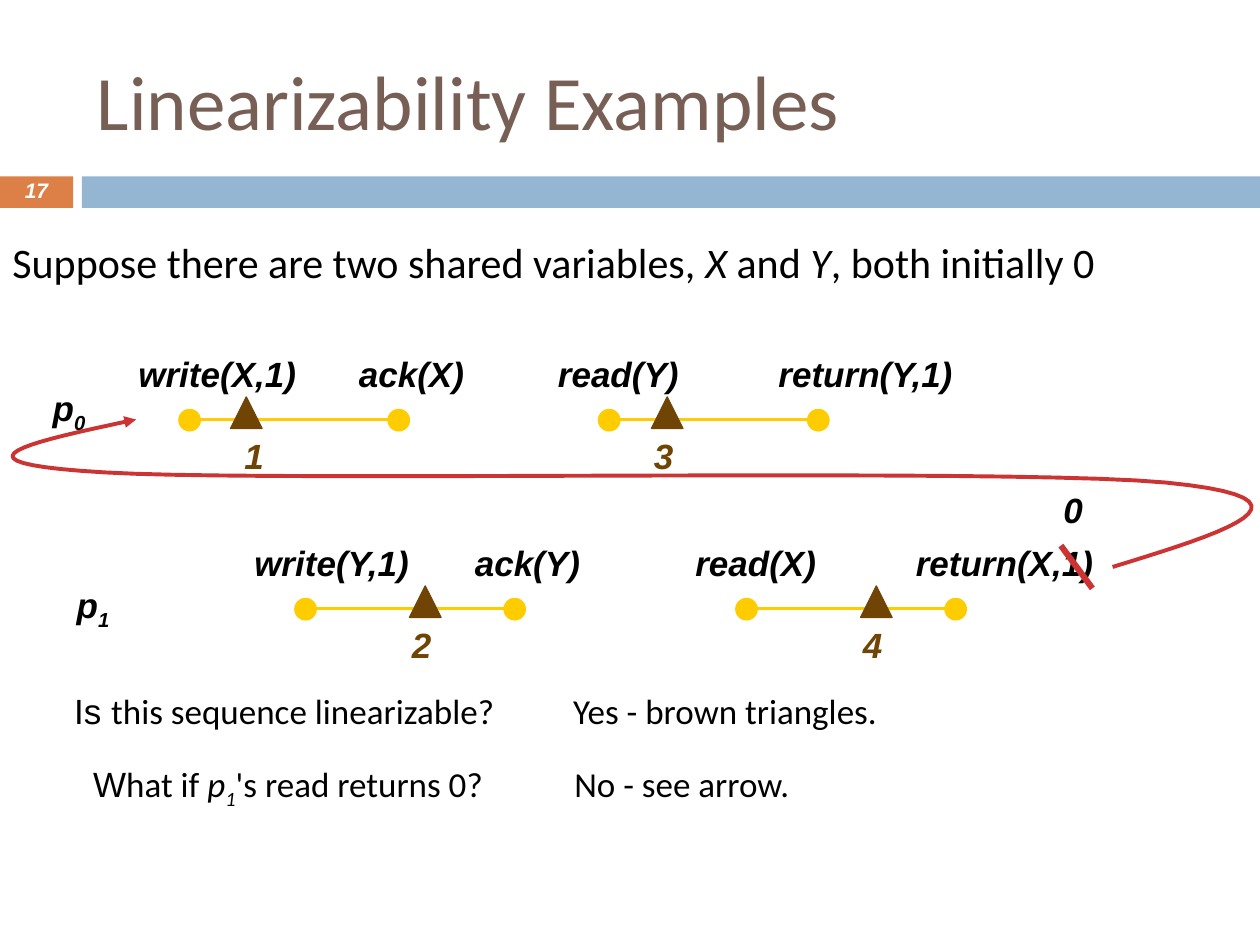
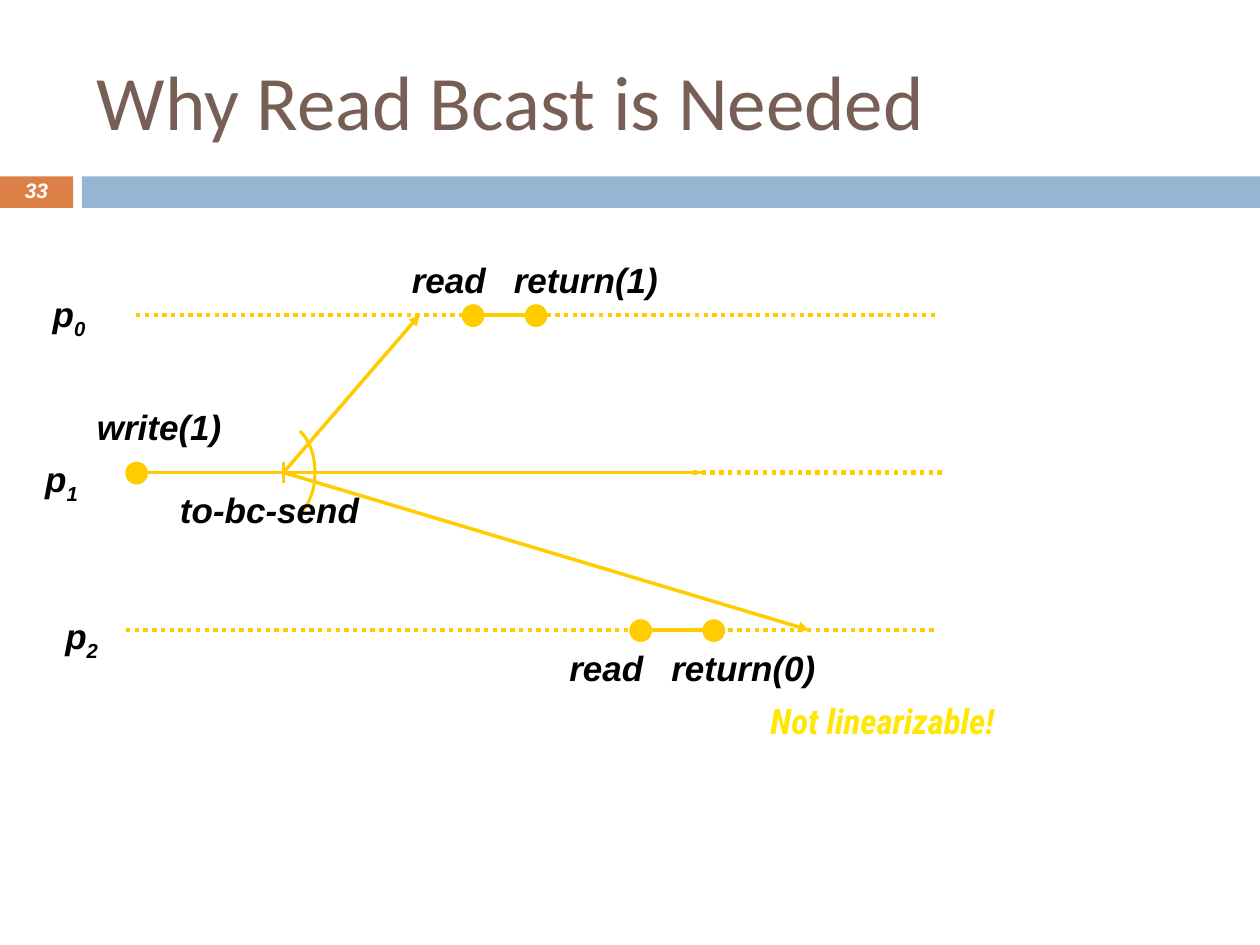
"""Build two slides on linearizability and read broadcasts."""
from lxml import etree
from pptx import Presentation
from pptx.dml.color import RGBColor
from pptx.enum.dml import MSO_LINE
from pptx.enum.shapes import MSO_CONNECTOR, MSO_SHAPE
from pptx.enum.text import MSO_ANCHOR, MSO_AUTO_SIZE, PP_ALIGN
from pptx.oxml.ns import qn
from pptx.util import Inches, Pt

RECT = MSO_SHAPE.RECTANGLE
OVAL = MSO_SHAPE.OVAL
WEDGE = MSO_SHAPE.ISOSCELES_TRIANGLE
STRAIGHT = MSO_CONNECTOR.STRAIGHT
DOTS = MSO_LINE.ROUND_DOT
LEFT, CENTER = PP_ALIGN.LEFT, PP_ALIGN.CENTER
TOP, MIDDLE = MSO_ANCHOR.TOP, MSO_ANCHOR.MIDDLE
GROW, FIXED = MSO_AUTO_SIZE.SHAPE_TO_FIT_TEXT, MSO_AUTO_SIZE.NONE

COLORS = {
    "title": "775F55", "tab": "DD8047", "band": "94B6D2", "gold": "FFCC00",
    "brown": "704404", "red": "CC3333", "black": "000000", "white": "FFFFFF",
    "yellow": "FFE701",
}
SANS, BODY, NARROW = "Arial", "Calibri", "Roboto Condensed"
DOT = 0.17


def color(name):
    return RGBColor.from_string(COLORS[name])


def add_run(para, text, size=20, font=SANS, ink="black", bold=False,
            italic=False, base=0):
    run = para.add_run()
    run.text = text
    run.font.size = Pt(size)
    run.font.name = font
    run.font.bold = bold
    run.font.italic = italic
    run.font.color.rgb = color(ink)
    if base:
        run._r.get_or_add_rPr().set("baseline", str(base * 1000))


class Deck:
    def __init__(self):
        self.prs = Presentation()
        self.prs.slide_width = Inches(10)
        self.prs.slide_height = Inches(7.5)
        self.slide = None

    def start(self, title, number):
        self.slide = self.prs.slides.add_slide(self.prs.slide_layouts[6])
        self.shape(RECT, 0, 1.4, 0.58, 0.25, "tab")
        self.shape(RECT, 0.65, 1.4, 9.35, 0.25, "band")
        self.text(title, 0.67, 0.25, 8.92, 1.08, anchor=MIDDLE, wrap=True,
                  fit=FIXED, size=44, font=BODY, ink="title")
        self.text(number, 0, 1.39, 0.58, 0.27, anchor=MIDDLE, wrap=True,
                  fit=FIXED, align=CENTER, space=0.8, size=12, ink="white",
                  bold=True, italic=True)

    def text(self, runs, x, y, w, h=0.44, anchor=TOP, wrap=False, fit=GROW,
             align=LEFT, space=None, **style):
        box = self.slide.shapes.add_textbox(
            Inches(x), Inches(y), Inches(w), Inches(h))
        frame = box.text_frame
        frame.word_wrap = wrap
        frame.auto_size = fit
        frame.vertical_anchor = anchor
        para = frame.paragraphs[0]
        para.alignment = align
        if space:
            para.line_spacing = space
        for text, extra in [(runs, {})] if isinstance(runs, str) else runs:
            add_run(para, text, **{**style, **extra})

    def label(self, runs, x, y, w, h=0.44, ink="black"):
        self.text(runs, x, y, w, h, ink=ink, bold=True, italic=True)

    def process(self, index, x, y):
        self.label([("p", {}), (index, {"base": -25})], x, y, 0.46, 0.48)

    def shape(self, kind, x, y, w, h, fill, edge=False):
        item = self.slide.shapes.add_shape(
            kind, Inches(x), Inches(y), Inches(w), Inches(h))
        item.shadow.inherit = False
        item.fill.solid()
        item.fill.fore_color.rgb = color(fill)
        if edge:
            item.line.color.rgb = color(fill)
            item.line.width = Pt(0.75)
        else:
            item.line.fill.background()

    def dot(self, x, y):
        self.shape(OVAL, x, y, DOT, DOT, "gold", edge=True)

    def pen(self, item, ink, width, arrow):
        item.line.color.rgb = color(ink)
        item.line.width = Pt(width)
        if arrow:
            etree.SubElement(item.line._get_or_add_ln(), qn("a:tailEnd"),
                             type="triangle")

    def line(self, x1, y1, x2, y2, ink="gold", width=2, dash=None,
             arrow=False):
        item = self.slide.shapes.add_connector(
            STRAIGHT, Inches(x1), Inches(y1), Inches(x2), Inches(y2))
        if dash:
            item.line.dash_style = dash
        self.pen(item, ink, width, arrow)
        etree.SubElement(item._element.spPr, qn("a:effectLst"))

    def curve(self, knots, ink, width, arrow=False, steps=20):
        points = []
        for i in range(0, len(knots) - 1, 3):
            for step in range(1, steps + 1):
                t = step / steps
                parts = ((1 - t) ** 3, 3 * t * (1 - t) ** 2,
                         3 * t * t * (1 - t), t ** 3)
                points.append(tuple(
                    Inches(sum(k * p[axis] for k, p in zip(parts, knots[i:i + 4])))
                    for axis in (0, 1)))
        first = knots[0]
        path = self.slide.shapes.build_freeform(Inches(first[0]), Inches(first[1]))
        path.add_line_segments(points, close=False)
        item = path.convert_to_shape()
        item.shadow.inherit = False
        item.fill.background()
        self.pen(item, ink, width, arrow)

    def call(self, x, y, ask, ask_w, reply, reply_w):
        self.line(x + 0.5, y + 0.58, x + 2.08, y + 0.58)
        self.dot(x + 0.42, y + 0.5)
        self.dot(x + 2.08, y + 0.5)
        self.label(ask, x, y, ask_w)
        self.label(reply, x + 1.75, y, reply_w)

    def mark(self, number, x, y, shift=-0.08):
        self.shape(WEDGE, x, y, 0.25, 0.25, "brown", edge=True)
        self.label(number, x + shift, y + 0.25, 0.35, ink="brown")


def examples(deck):
    deck.start("Linearizability Examples", "17")
    slant = {"italic": True}
    deck.text([("Suppose there are two shared variables, ", {}), ("X", slant),
               (" and ", {}), ("Y", slant), (", both initially 0", {})],
              0, 1.83, 10.08, 0.5, size=24, font=BODY)
    for x, y, gap, name, other in ((1, 2.75, 3.33, "X", "Y"),
                                   (1.92, 4.25, 3.5, "Y", "X")):
        deck.call(x, y, f"write({name},1)", 1.5, f"ack({name})", 1.15)
        deck.call(x + gap, y, f"read({other})", 1.2, f"return({other},1)", 1.65)
    deck.process("0", 0.32, 3.02)
    deck.process("1", 0.51, 4.58)
    deck.mark("1", 1.83, 3.15, shift=0.01)
    for number, x, y in (("2", 3.25, 4.65), ("3", 5.17, 3.15),
                         ("4", 6.83, 4.65)):
        deck.mark(number, x, y)
    plain = {"font": BODY}
    deck.text([("Is ", {}), ("this sequence linearizable?", plain)],
              0.49, 5.42, 3.99)
    deck.text("Yes - brown triangles.", 4.45, 5.42, 3.02, font=BODY)
    deck.text([("W", {}), ("hat if ", plain), ("p", {**plain, **slant}),
               ("1", {**plain, **slant, "base": -25}),
               ("'s read returns 0?", plain)], 0.64, 6, 3.71, 0.48)
    deck.text("No - see arrow.", 4.46, 6, 2.18, font=BODY)
    deck.line(8.42, 4.33, 8.67, 4.67, ink="red", width=3.5)
    deck.label("0", 8.34, 3.83, 0.35)
    deck.curve([(8.83, 4.5), (9.71, 4.23), (10.58, 3.96), (9.25, 3.83),
                (7.92, 3.71), (2.19, 3.83), (0.83, 3.75),
                (-0.53, 3.67), (0.28, 3.5), (1.08, 3.33)],
               "red", 2.25, arrow=True)


def broadcast(deck):
    deck.start("Why Read Bcast is Needed", "33")
    for x1, x2, y in ((1.08, 7.42, 2.5), (5.5, 7.5, 3.75), (1, 7.42, 5)):
        deck.line(x1, y, x2, y, width=2.5, dash=DOTS)
    for x1, y1, x2, y2 in ((1.08, 3.75, 5.58, 3.75), (2.25, 3.67, 2.25, 3.83),
                           (3.83, 2.5, 4.17, 2.5), (5.17, 5, 5.58, 5)):
        deck.line(x1, y1, x2, y2)
    for x, y in ((3.33, 2.5), (6.42, 5)):
        deck.line(2.25, 3.75, x, y, arrow=True)
    for x, y in ((1, 3.67), (3.67, 2.42), (4.17, 2.42), (5, 4.92), (5.58, 4.92)):
        deck.dot(x, y)
    deck.curve([(2.38, 3.42), (2.46, 3.5), (2.5, 3.62), (2.5, 3.75),
                (2.5, 3.88), (2.46, 4), (2.38, 4.08)], "gold", 1.75)
    for value, x, y in (("1", 3.17, 2), ("0", 4.42, 5.08)):
        deck.label("read", x, y, 0.8)
        deck.label(f"return({value})", x + 0.81, y, 1.4)
    deck.label("write(1)", 0.67, 3.17, 1.25)
    deck.label("to-bc-send", 1.33, 3.83, 1.65)
    for index, x, y in (("0", 0.32, 2.27), ("1", 0.26, 3.58), ("2", 0.42, 4.83)):
        deck.process(index, x, y)
    deck.text("Not linearizable!", 5.33, 5.5, 3.35, 0.55, fit=FIXED,
              align=CENTER, font=NARROW, ink="yellow", bold=True, italic=True)


def main():
    deck = Deck()
    examples(deck)
    broadcast(deck)
    deck.prs.save("out.pptx")


if __name__ == "__main__":
    main()
